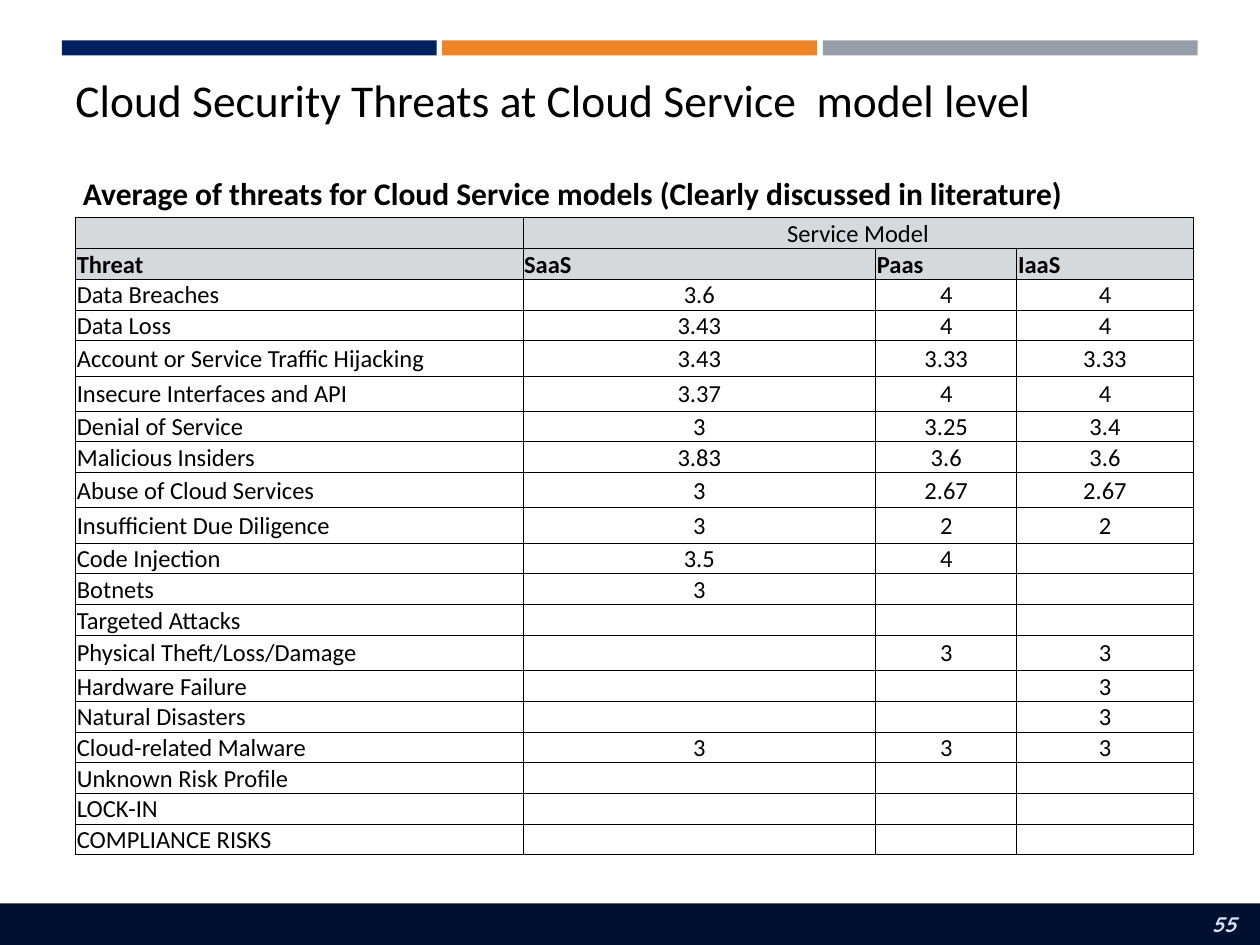
from dataclasses import dataclass

from lxml import etree
from pptx import Presentation, util as u
from pptx.dml.color import RGBColor
from pptx.enum import shapes, text
from pptx.oxml.ns import qn


@dataclass(frozen=True)
class Theme:
    font: str = "Calibri"
    number_font: str = "Quicksand"
    ink: str = "000000"
    bars: tuple = ("002060", "ED8428", "969FA7")
    footer: str = "001030"
    number: str = "D6E3FF"
    header: str = "D5D9DC"
    title_size: int = 26
    subtitle_size: int = 18
    cell_size: int = 14
    number_size: int = 12


theme = Theme()
LEFT, CENTER, RIGHT = text.PP_ALIGN.LEFT, text.PP_ALIGN.CENTER, text.PP_ALIGN.RIGHT

prs = Presentation()
prs.slide_width, prs.slide_height = u.Inches(10), u.Inches(7.5)
s = prs.slides.add_slide(prs.slide_layouts[6])


def area(left, top, width, height):
    """Turn percentages of the slide's width and height into lengths."""
    w, h = prs.slide_width / 100, prs.slide_height / 100
    return [round(v) for v in (left * w, top * h, width * w, height * h)]


def write(tf, words, size, color=theme.ink, font=theme.font, align=LEFT,
          bold=False, italic=False):
    """Write one formatted paragraph; empty words only set the line height."""
    p = tf.paragraphs[0]
    p.alignment = align
    if not words:
        etree.SubElement(p._p, qn("a:endParaRPr"), sz=str(size * 100))
        return
    r = p.add_run()
    r.text = words
    r.font.name, r.font.size = font, u.Pt(size)
    r.font.bold, r.font.italic = bold, italic
    r.font.color.rgb = RGBColor.from_string(color)


# Bars across the top and the footer band
bar_left, bar_step, bar_width = 4.9, 30.2, 29.75
bands = [(area(bar_left + i * bar_step, 4.27, bar_width, 1.6), color)
         for i, color in enumerate(theme.bars)]
bands.append((area(0, 95.6, 100, 4.4), theme.footer))
for place, color in bands:
    sp = s.shapes.add_shape(shapes.MSO_SHAPE.RECTANGLE, *place)
    sp.shadow.inherit = False
    sp.fill.solid()
    sp.fill.fore_color.rgb = RGBColor.from_string(color)
    sp.line.fill.background()

# Title, subtitle and slide number
labels = [
    (area(5, 4, 90.1, 13.07), "Cloud Security Threats at Cloud Service  model level",
     dict(size=theme.title_size)),
    (area(5.6, 19.2, 87.4, 2.4),
     "Average of threats for Cloud Service models (Clearly discussed in literature)",
     dict(size=theme.subtitle_size, bold=True)),
    (area(84.1, 95.6, 15, 4.4), "55",
     dict(size=theme.number_size, color=theme.number, font=theme.number_font,
          align=RIGHT, bold=True, italic=True)),
]
for place, words, style in labels:
    tf = s.shapes.add_textbox(*place).text_frame
    tf.word_wrap = True
    tf.vertical_anchor = text.MSO_ANCHOR.MIDDLE
    tf.margin_top = tf.margin_bottom = 0
    write(tf, words, **style)

# Threat table
rows = [
    ("", "Service Model", "", ""),
    ("Threat", "SaaS", "Paas", "IaaS"),
    ("Data Breaches", "3.6", "4", "4"),
    ("Data Loss", "3.43", "4", "4"),
    ("Account or Service Traffic Hijacking", "3.43", "3.33", "3.33"),
    ("Insecure Interfaces and API", "3.37", "4", "4"),
    ("Denial of Service", "3", "3.25", "3.4"),
    ("Malicious Insiders", "3.83", "3.6", "3.6"),
    ("Abuse of Cloud Services", "3", "2.67", "2.67"),
    ("Insufficient Due Diligence", "3", "2", "2"),
    ("Code Injection", "3.5", "4", ""),
    ("Botnets", "3", "", ""),
    ("Targeted Attacks", "", "", ""),
    ("Physical Theft/Loss/Damage", "", "3", "3"),
    ("Hardware Failure", "", "", "3"),
    ("Natural Disasters", "", "", "3"),
    ("Cloud-related Malware", "3", "3", "3"),
    ("Unknown Risk Profile", "", "", ""),
    ("LOCK-IN", "", "", ""),
    ("COMPLIANCE RISKS", "", "", ""),
]
tall_rows = {4, 5, 8, 9, 13}
column_shares = (35.5, 28, 11.2, 14)

table = s.shapes.add_table(len(rows), len(column_shares),
                           *area(6, 23.05, sum(column_shares), 67.5)).table
table.first_row = table.horz_banding = False
for column, share in zip(table.columns, column_shares):
    column.width = round(prs.slide_width * share / 100)
table.cell(0, 1).merge(table.cell(0, 3))

for i, row in enumerate(rows):
    table.rows[i].height = u.Inches(0.28 if i in tall_rows else 0.24)
    for j, words in enumerate(row):
        cell = table.cell(i, j)
        cell.vertical_anchor = text.MSO_ANCHOR.MIDDLE
        cell.margin_left = cell.margin_right = cell.margin_top = u.Inches(0.01)
        cell.margin_bottom = 0
        if i < 2:
            cell.fill.solid()
            cell.fill.fore_color.rgb = RGBColor.from_string(theme.header)
        else:
            cell.fill.background()
        write(cell.text_frame, words, theme.cell_size, bold=i == 1,
              align=CENTER if j and i != 1 else LEFT)
        tc_pr = cell._tc.get_or_add_tcPr()
        for k, side in enumerate(("a:lnL", "a:lnR", "a:lnT", "a:lnB")):
            line = etree.Element(qn(side), w=str(u.Pt(0.5)))
            fill = etree.SubElement(line, qn("a:solidFill"))
            etree.SubElement(fill, qn("a:srgbClr"), val=theme.ink)
            tc_pr.insert(k, line)

prs.save("out.pptx")
